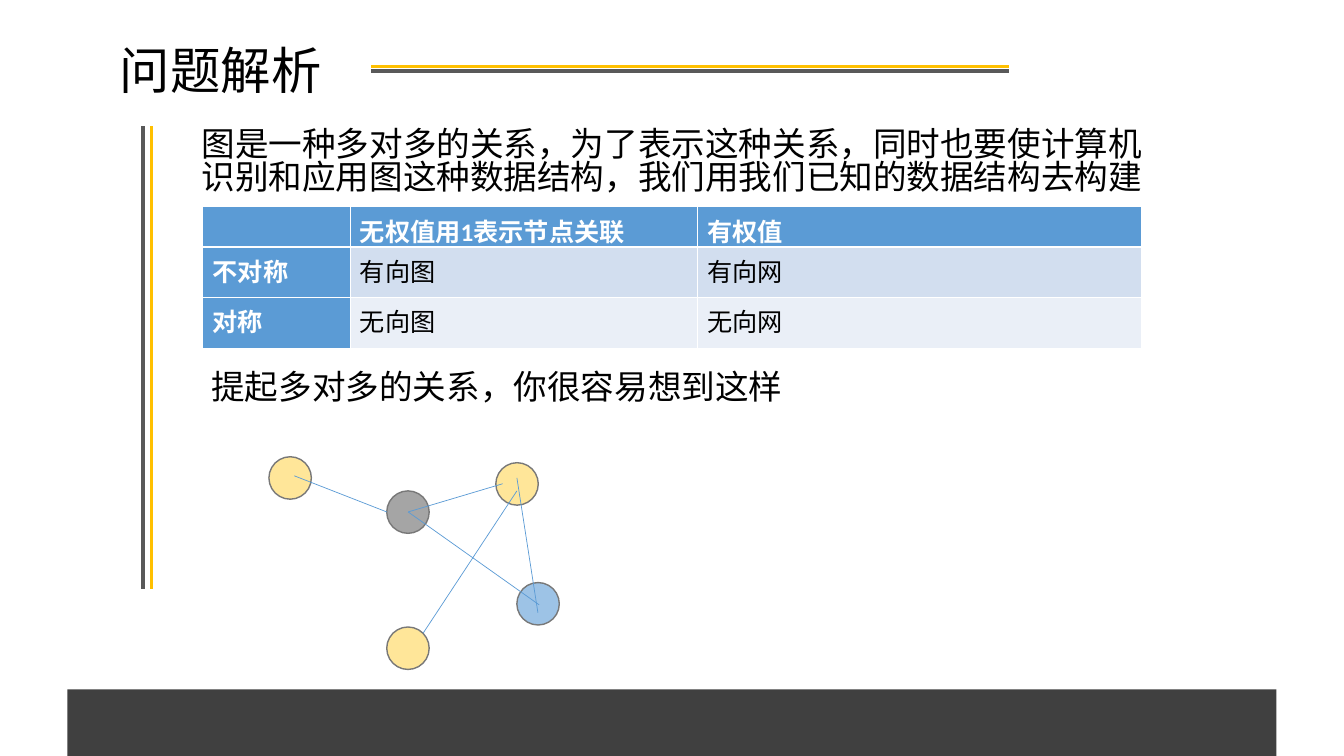
from lxml.etree import SubElement
from pptx import Presentation
from pptx.dml.color import RGBColor
from pptx.enum.shapes import MSO_CONNECTOR as Connector, MSO_SHAPE as Shape
from pptx.enum.text import MSO_ANCHOR as Anchor, MSO_AUTO_SIZE as AutoSize, PP_ALIGN as Align
from pptx.oxml.ns import qn
from pptx.util import Cm, Pt

BLACK = RGBColor(0x00, 0x00, 0x00)
WHITE = RGBColor(0xFF, 0xFF, 0xFF)
GOLD = RGBColor(0xFF, 0xC0, 0x00)
RULE_GRAY = RGBColor(0x59, 0x59, 0x59)
FOOTER_GRAY = RGBColor(0x40, 0x40, 0x40)
NODE_LINE = RGBColor(0x78, 0x78, 0x78)
NODE_GRAY = RGBColor(0xA5, 0xA5, 0xA5)
NODE_BLUE = RGBColor(0x9D, 0xC3, 0xE6)
NODE_YELLOW = RGBColor(0xFF, 0xE6, 0x99)
BLUE = RGBColor(0x5B, 0x9B, 0xD5)
BAND_DARK = RGBColor(0xD2, 0xDE, 0xEF)
BAND_LIGHT = RGBColor(0xEA, 0xEF, 0xF7)

INTRO = "图是一种多对多的关系，为了表示这种关系，同时也要使计算机识别和应用图这种数据结构，我们用我们已知的数据结构去构建"
GRAPH_TYPES = [
    ["", "无权值用1表示节点关联", "有权值"],
    ["不对称", "有向图", "有向网"],
    ["对称", "无向图", "无向网"],
]
NODE_SIZE = 1.07
NODES = [
    (9.75, 12.37, NODE_GRAY),
    (13.03, 14.68, NODE_BLUE),
    (12.5, 11.66, NODE_YELLOW),
    (9.75, 15.8, NODE_YELLOW),
    (6.78, 11.51, NODE_YELLOW),
]
EDGES = [
    ((10.29, 12.9), (13.59, 15.24)),
    ((7.42, 11.99), (9.75, 12.9)),
    ((10.29, 12.9), (12.67, 12.19)),
    ((13.03, 12.04), (13.56, 15.44)),
    ((13.03, 12.37), (10.67, 15.95)),
]


class SlideBuilder:
    """Holds the text style and the slide being built."""

    latin = "Calibri"
    east_asian = "Noto Sans CJK SC"

    def __init__(self, presentation):
        self.slide = presentation.slides.add_slide(presentation.slide_layouts[5])
        self.shapes = self.slide.shapes

    def format_text(self, text_frame, size, color=BLACK, bold=False, latin=None):
        for paragraph in text_frame.paragraphs:
            paragraph.alignment = Align.LEFT
            for run in paragraph.runs:
                run.font.size = Pt(size)
                run.font.bold = bold
                run.font.color.rgb = color
                run.font.name = latin or self.latin
                SubElement(run.font._element, qn("a:ea"), typeface=self.east_asian)

    def title(self, text, left, top, width, height):
        title = self.shapes.title
        title.left, title.top, title.width, title.height = map(Cm, (left, top, width, height))
        text_frame = title.text_frame
        text_frame.text = text
        text_frame.auto_size = AutoSize.NONE
        text_frame.vertical_anchor = Anchor.TOP
        self.format_text(text_frame, 36, latin=self.east_asian)

    def text(self, text, left, top, width, height, spacing=1.0):
        text_frame = self.shapes.add_textbox(*map(Cm, (left, top, width, height))).text_frame
        text_frame.word_wrap = True
        text_frame.text = text
        text_frame.paragraphs[0].line_spacing = spacing
        self.format_text(text_frame, 24)

    def line(self, start, end, color, width):
        connector = self.shapes.add_connector(Connector.STRAIGHT, *map(Cm, start + end))
        connector.line.color.rgb = color
        connector.line.width = Pt(width)
        SubElement(connector._element.spPr, qn("a:effectLst"))

    def shape(self, kind, left, top, width, height, fill, line=None):
        shape = self.shapes.add_shape(kind, *map(Cm, (left, top, width, height)))
        shape.shadow.inherit = False
        shape.fill.solid()
        shape.fill.fore_color.rgb = fill
        if line is None:
            shape.line.fill.background()
        else:
            shape.line.color.rgb = line
            shape.line.width = Pt(1)

    def borders(self, cell, is_header, below_header):
        properties = cell._tc.get_or_add_tcPr()
        heavy = {"B": is_header, "T": below_header}
        for side in "LRTB":
            width = Pt(1.5 if heavy.get(side) else 0.5)
            border = SubElement(properties, qn(f"a:ln{side}"), w=str(width))
            fill = SubElement(border, qn("a:solidFill"))
            SubElement(fill, qn("a:srgbClr"), val=str(WHITE))

    def table(self, rows, left, top, widths, heights):
        frame = self.shapes.add_table(
            len(rows), len(widths), Cm(left), Cm(top), Cm(sum(widths)), Cm(sum(heights)))
        table = frame.table
        for column, width in zip(table.columns, widths):
            column.width = Cm(width)
        for row, height in zip(table.rows, heights):
            row.height = Cm(height)
        for i, row in enumerate(rows):
            for j, text in enumerate(row):
                cell = table.cell(i, j)
                is_head = i == 0 or j == 0
                self.borders(cell, i == 0, i == 1)
                cell.fill.solid()
                cell.fill.fore_color.rgb = BLUE if is_head else (BAND_LIGHT, BAND_DARK)[i % 2]
                if i == 0:
                    cell.margin_bottom = 0
                cell.text_frame.text = text
                self.format_text(cell.text_frame, 18, WHITE if is_head else BLACK, is_head)


def main():
    presentation = Presentation()
    presentation.slide_width = Cm(33.88)
    presentation.slide_height = Cm(19.05)
    builder = SlideBuilder(presentation)

    builder.line((9.35, 1.68), (25.43, 1.68), GOLD, 2.25)
    builder.line((9.35, 1.78), (25.43, 1.78), RULE_GRAY, 3)
    builder.line((3.81, 14.83), (3.81, 3.18), GOLD, 2.25)
    builder.line((3.61, 14.83), (3.61, 3.18), RULE_GRAY, 3)

    builder.title("问题解析", 2.77, 0.86, 8.08, 1.78)
    builder.shape(Shape.RECTANGLE, 1.7, 17.37, 30.48, 1.68, FOOTER_GRAY)
    builder.text(INTRO, 4.83, 3.18, 25.02, 2.01, spacing=0.8)
    builder.table(GRAPH_TYPES, 5.11, 5.21, (3.71, 8.76, 11.18), (1.02, 1.27, 1.27))
    builder.text("提起多对多的关系，你很容易想到这样", 5.08, 9.09, 23.75, 1.27)

    for left, top, fill in NODES:
        builder.shape(Shape.OVAL, left, top, NODE_SIZE, NODE_SIZE, fill, NODE_LINE)
    for start, end in EDGES:
        builder.line(start, end, BLUE, 0.5)

    presentation.save("out.pptx")


if __name__ == "__main__":
    main()
